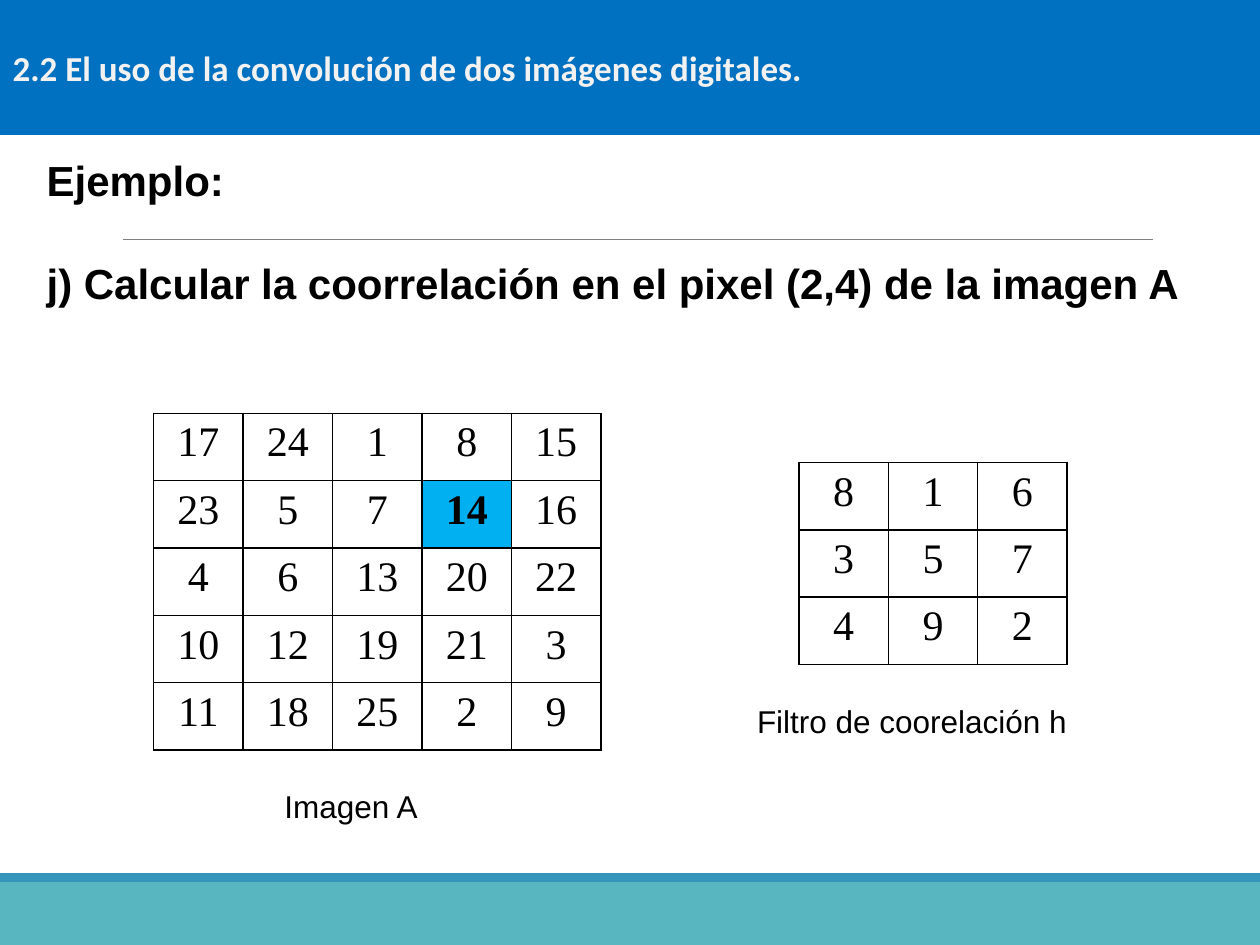
"""Build the slide on correlating image A with the filter h."""
from lxml import etree
from pptx import Presentation
from pptx.dml.color import RGBColor
from pptx.enum import shapes, text
from pptx.oxml import parse_xml
from pptx.oxml.ns import nsdecls, qn
from pptx.util import Inches, Pt


def color(value):
    return RGBColor.from_string(value)


def style(para, size, name, hue="000000", bold=False, align=text.PP_ALIGN.LEFT):
    para.alignment = align
    para.space_before = Pt(0)
    para.font.size = Pt(size)
    para.font.name = name
    para.font.bold = bold
    para.font.color.rgb = color(hue)


deck = Presentation()
deck.slide_width, deck.slide_height = Inches(10), Inches(7.5)
page = deck.slides.add_slide(deck.slide_layouts[1])

for top, height, hue in [(7, 0.5, "58B6C0"), (6.93, 0.07, "3494BA")]:
    band = page.shapes.add_shape(
        shapes.MSO_SHAPE.RECTANGLE, 0, Inches(top), Inches(10), Inches(height))
    band.shadow.inherit = False
    band.fill.solid()
    band.fill.fore_color.rgb = color(hue)
    band.line.fill.background()

rule = page.shapes.add_connector(
    shapes.MSO_CONNECTOR.STRAIGHT, Inches(0.98), Inches(1.9), Inches(9.15), Inches(1.9))
rule.line.color.rgb = color("808080")
rule.line.width = Pt(0.5)
etree.SubElement(rule._element.spPr, qn("a:effectLst"))

title = page.shapes.title
title.left, title.top, title.width, title.height = 0, 0, Inches(10), Inches(1.07)
title.fill.solid()
title.fill.fore_color.rgb = color("0070C0")
title.text_frame.text = "2.2 El uso de la convolución de dos imágenes digitales."
title.text_frame.auto_size = text.MSO_AUTO_SIZE.NONE
title.text_frame.vertical_anchor = text.MSO_ANCHOR.MIDDLE
style(title.text_frame.paragraphs[0], 20, "Calibri", "F2F2F2", True)

body = page.placeholders[1]
body.left, body.top = Inches(0.27), Inches(1.18)
body.width, body.height = Inches(9.57), Inches(2.05)
body.text_frame.text = "Ejemplo:\nj) Calcular la coorrelación en el pixel (2,4) de la imagen A"
body.text_frame.auto_size = text.MSO_AUTO_SIZE.NONE
for para in body.text_frame.paragraphs:
    properties = para._p.get_or_add_pPr()
    properties.set("marL", "0")
    properties.set("indent", "0")
    etree.SubElement(properties, qn("a:buNone"))
    style(para, 24, "Arial", bold=True, align=text.PP_ALIGN.JUSTIFY)
body.text_frame.paragraphs[1].space_before = Pt(30)

image_a = [
    [17, 24, 1, 8, 15],
    [23, 5, 7, 14, 16],
    [4, 6, 13, 20, 22],
    [10, 12, 19, 21, 3],
    [11, 18, 25, 2, 9],
]
filter_h = [[8, 1, 6], [3, 5, 7], [4, 9, 2]]
column_width, row_height = Inches(0.71), Inches(0.535)

for matrix, left, top in [(image_a, 1.22, 3.28), (filter_h, 6.34, 3.67)]:
    count = len(matrix)
    table = page.shapes.add_table(
        count, count, Inches(left), Inches(top),
        column_width * count, row_height * count).table
    table.first_row = table.horz_banding = False
    for column in table.columns:
        column.width = column_width
    for row, values in zip(table.rows, matrix):
        row.height = row_height
        for cell, value in zip(row.cells, values):
            target = value == 14
            cell.text = str(value)
            style(cell.text_frame.paragraphs[0], 24, "Times New Roman",
                  bold=target, align=text.PP_ALIGN.CENTER)
            for side in ("lnL", "lnR", "lnT", "lnB"):
                cell._tc.get_or_add_tcPr().append(parse_xml(
                    f'<a:{side} {nsdecls("a")} w="12700"><a:solidFill>'
                    f'<a:srgbClr val="000000"/></a:solidFill></a:{side}>'))
            cell.fill.solid()
            cell.fill.fore_color.rgb = color("00B0F0" if target else "FFFFFF")

for label, left, top, width in [
    ("Imagen A", 2.16, 6.2, 1.27),
    ("Filtro de coorelación h", 5.91, 5.52, 2.68),
]:
    box = page.shapes.add_textbox(Inches(left), Inches(top), Inches(width), Inches(0.4))
    box.text_frame.word_wrap = False
    box.text_frame.text = label
    style(box.text_frame.paragraphs[0], 18, "Arial")

deck.save("out.pptx")
